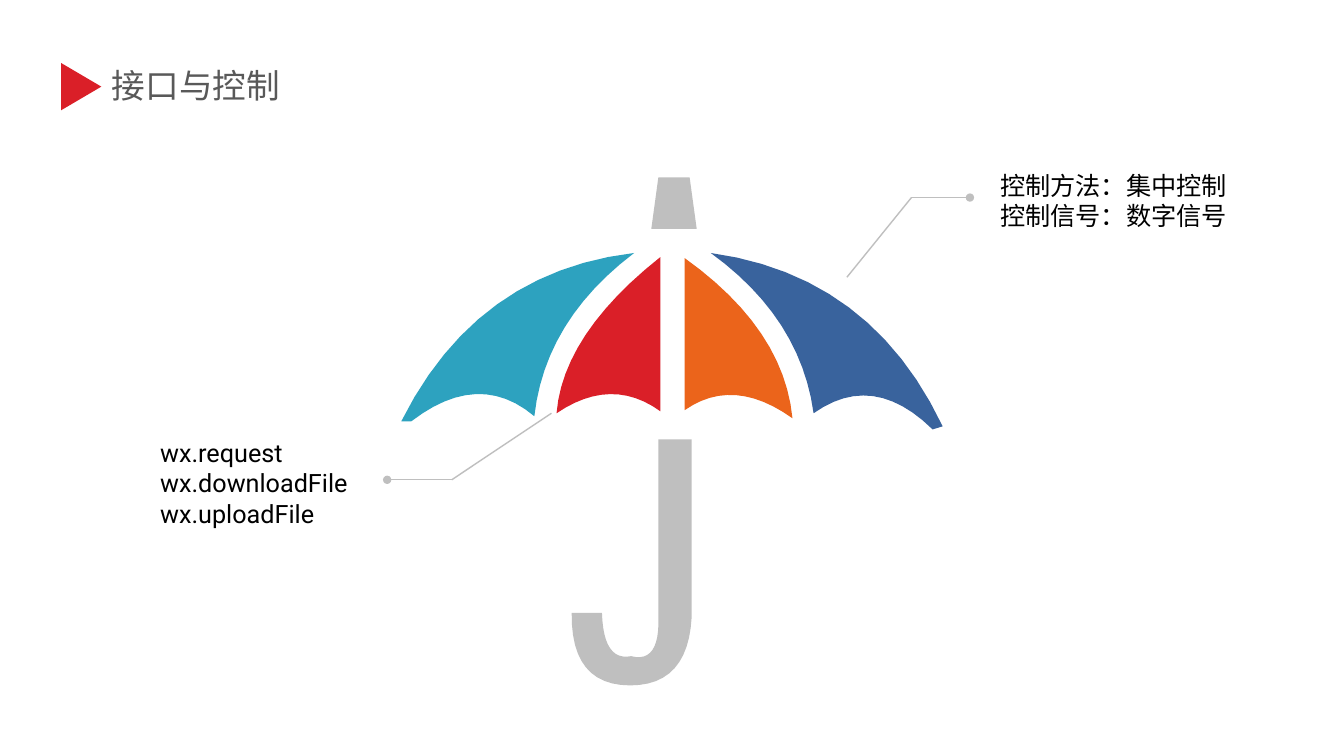
from lxml import etree
from pptx import Presentation
from pptx.dml.color import RGBColor
from pptx.enum import shapes, text
from pptx.oxml import ns
from pptx.util import Inches, Pt

RED = RGBColor(0xDA, 0x1F, 0x28)
TEAL = RGBColor(0x2D, 0xA2, 0xBF)
BLUE = RGBColor(0x39, 0x63, 0x9D)
ORANGE = RGBColor(0xEB, 0x64, 0x1B)
GREY = RGBColor(0xBF, 0xBF, 0xBF)
DARK = RGBColor(0x59, 0x59, 0x59)
BLACK = RGBColor(0, 0, 0)
STEPS = 12

PARTS = [
    (TEAL, [(2.31, 0.75), (1.62, 1.49, 1.32, 2.37), (0.74, 2.15, 0.1, 2.42),
            (0, 2.42), (0.95, 1.26, 2.31, 0.75)]),
    (RED, [(2.57, 0.79), (2.57, 2.32), (2.07, 2.15, 1.54, 2.34),
           (1.83, 1.56, 2.57, 0.79)]),
    (ORANGE, [(2.81, 0.8), (3.57, 1.55, 3.88, 2.39),
              (3.32, 2.16, 2.81, 2.31)]),
    (BLUE, [(3.07, 0.75), (4.44, 1.29, 5.37, 2.47), (5.27, 2.5),
            (4.68, 2.17, 4.09, 2.34), (3.77, 1.47, 3.07, 0.75)]),
    (GREY, [(2.55, 0), (2.86, 0), (2.93, 0.51), (2.48, 0.51)]),
    (GREY, [(2.88, 2.6), (2.88, 4.36), (2.71, 4.87, 2.27, 5.04),
            (1.83, 4.86, 1.69, 4.32), (1.99, 4.32), (2.07, 4.67, 2.28, 4.75),
            (2.49, 4.69, 2.55, 4.36), (2.55, 2.6)]),
]


def write(frame, words, size=18, font="Roboto", color=BLACK,
          anchor=text.MSO_ANCHOR.TOP):
    """Fill a text frame with one paragraph per line."""
    frame.word_wrap = True
    frame.auto_size = text.MSO_AUTO_SIZE.NONE
    frame.vertical_anchor = anchor
    frame.text = words
    for para in frame.paragraphs:
        para.alignment = text.PP_ALIGN.LEFT
        for run in para.runs:
            run.font.size, run.font.name = Pt(size), font
            run.font.color.rgb = color
            east = etree.SubElement(run.font._element, ns.qn("a:ea"))
            east.set("typeface", font)


def paint(shape, color):
    """Give a shape a flat fill without line or shadow."""
    shape.shadow.inherit = False
    shape.fill.solid()
    shape.fill.fore_color.rgb = color
    shape.line.fill.background()


def trace(nodes):
    """Turn corners and arcs, given as middle and end, into points."""
    points = [nodes[0]]
    for *mid, x, y in nodes[1:]:
        start, end = points[-1], (x, y)
        if mid:
            bend = [2 * m - (a + b) / 2 for m, a, b in zip(mid, start, end)]
            for i in range(1, STEPS):
                t = i / STEPS
                points.append(tuple(
                    (1 - t) ** 2 * a + 2 * t * (1 - t) * c + t * t * b
                    for a, c, b in zip(start, bend, end)))
        points.append(end)
    return points


def header(slide, left, top, width, height):
    """Place the title and its red pointer."""
    title = slide.shapes.title
    title.left, title.top = Inches(left + 0.44), Inches(top)
    title.width, title.height = Inches(width - 0.44), Inches(height)
    write(title.text_frame, "接口与控制", size=24, font="Noto Sans CJK SC",
          color=DARK, anchor=text.MSO_ANCHOR.MIDDLE)
    mark = slide.shapes.add_shape(
        shapes.MSO_SHAPE.ISOSCELES_TRIANGLE, Inches(left), Inches(top + 0.07),
        Inches(0.47), Inches(0.4))
    mark.rotation = 90
    paint(mark, RED)


def umbrella(slide, left, top):
    """Draw the canopy panels, tip and handle."""
    for color, nodes in PARTS:
        points = [(Inches(left + x), Inches(top + y)) for x, y in trace(nodes)]
        pen = slide.shapes.build_freeform(*points[0])
        pen.add_line_segments(points[1:], close=True)
        paint(pen.convert_to_shape(), color)


def link(slide, start, end, dot=False):
    """Draw a grey line, with a round end if asked."""
    line = slide.shapes.add_connector(
        shapes.MSO_CONNECTOR.STRAIGHT, *map(Inches, start + end))
    line.line.color.rgb = GREY
    line.line.width = Pt(1)
    if dot:
        tail = etree.SubElement(line.line._get_or_add_ln(), ns.qn("a:tailEnd"))
        tail.set("type", "oval")
    etree.SubElement(line._element.spPr, ns.qn("a:effectLst"))


def callout(slide, left, top, width, height, words, leader):
    """Place a note and its bent leader, given from panel to dot."""
    box = slide.shapes.add_textbox(*map(Inches, (left, top, width, height)))
    write(box.text_frame, words)
    tip, bend, dot = [(left + x, top + y) for x, y in leader]
    link(slide, tip, bend)
    link(slide, bend, dot, dot=True)


def main():
    """Build the slide and save it."""
    deck = Presentation()
    deck.slide_width, deck.slide_height = Inches(13.33), Inches(7.5)
    slide = deck.slides.add_slide(deck.slide_layouts[5])
    header(slide, 0.57, 0.59, 3.7, 0.5)
    umbrella(slide, 3.98, 1.76)
    callout(slide, 1.49, 4.29, 2.64, 1.01,
            "wx.request\nwx.downloadFile\nwx.uploadFile",
            [(3.98, -0.19), (2.99, 0.47), (2.35, 0.47)])
    callout(slide, 9.82, 1.64, 2.8, 1.01,
            "控制方法：集中控制\n控制信号：数字信号",
            [(-1.42, 1.11), (-0.78, 0.32), (-0.2, 0.32)])
    deck.save("out.pptx")


if __name__ == "__main__":
    main()
